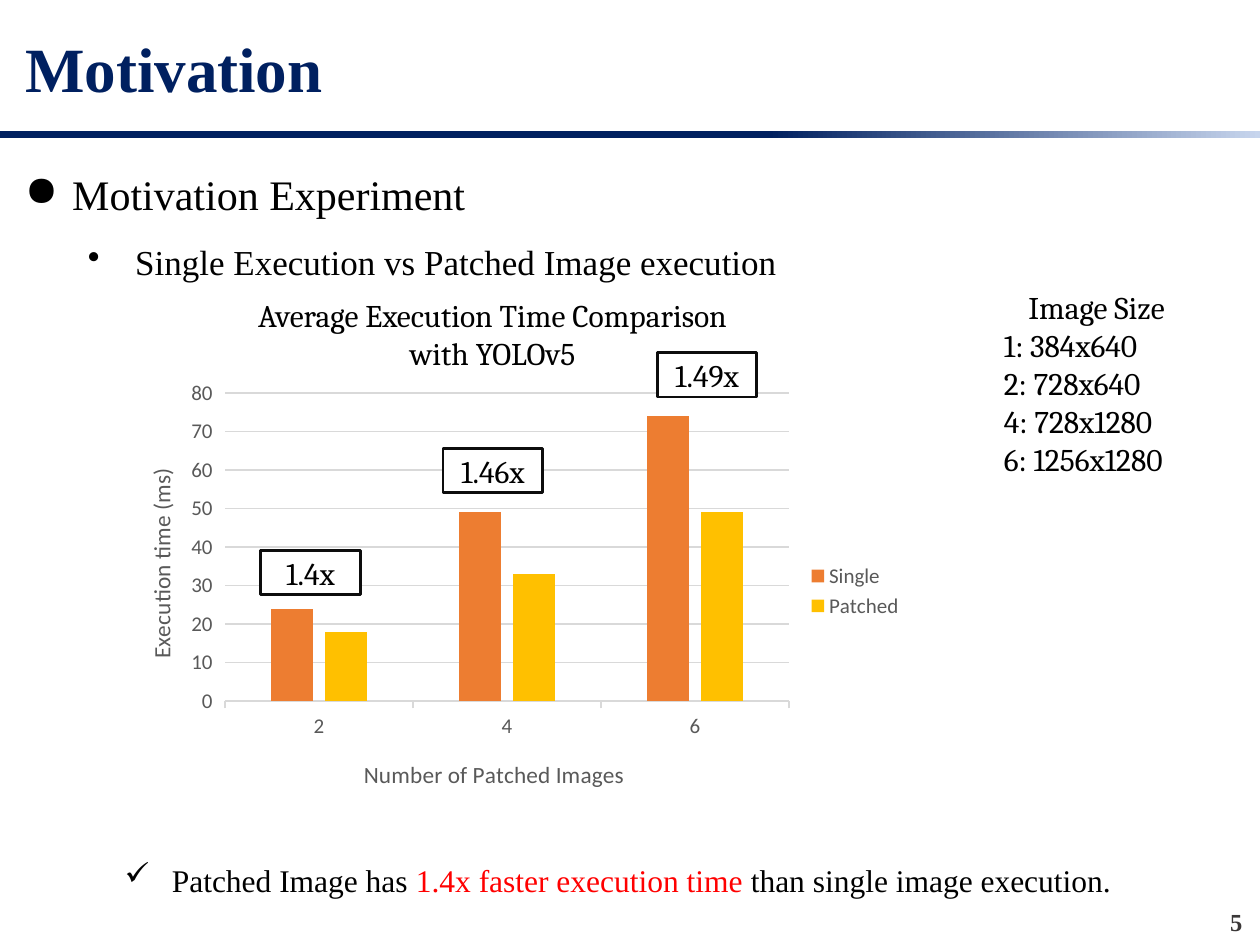
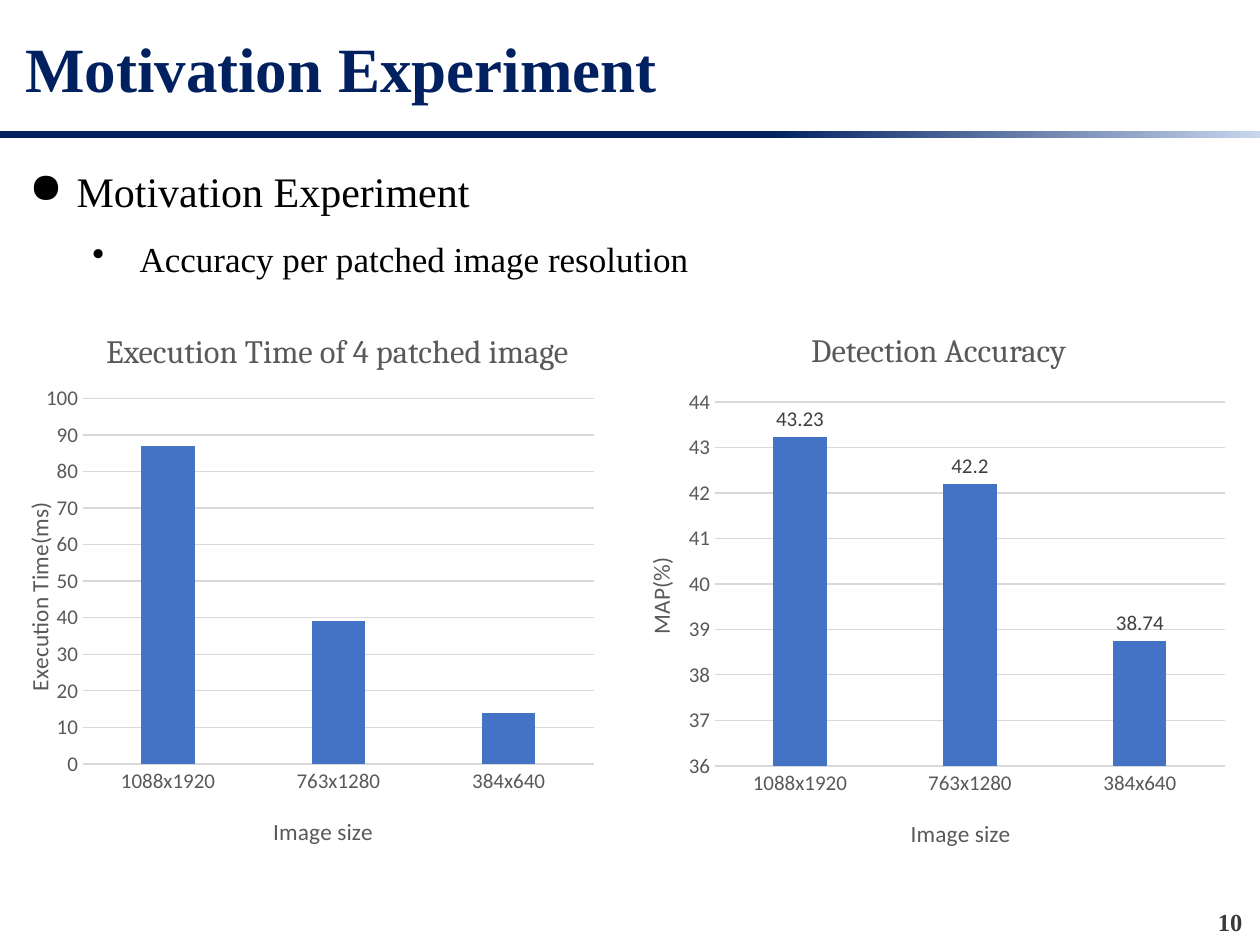
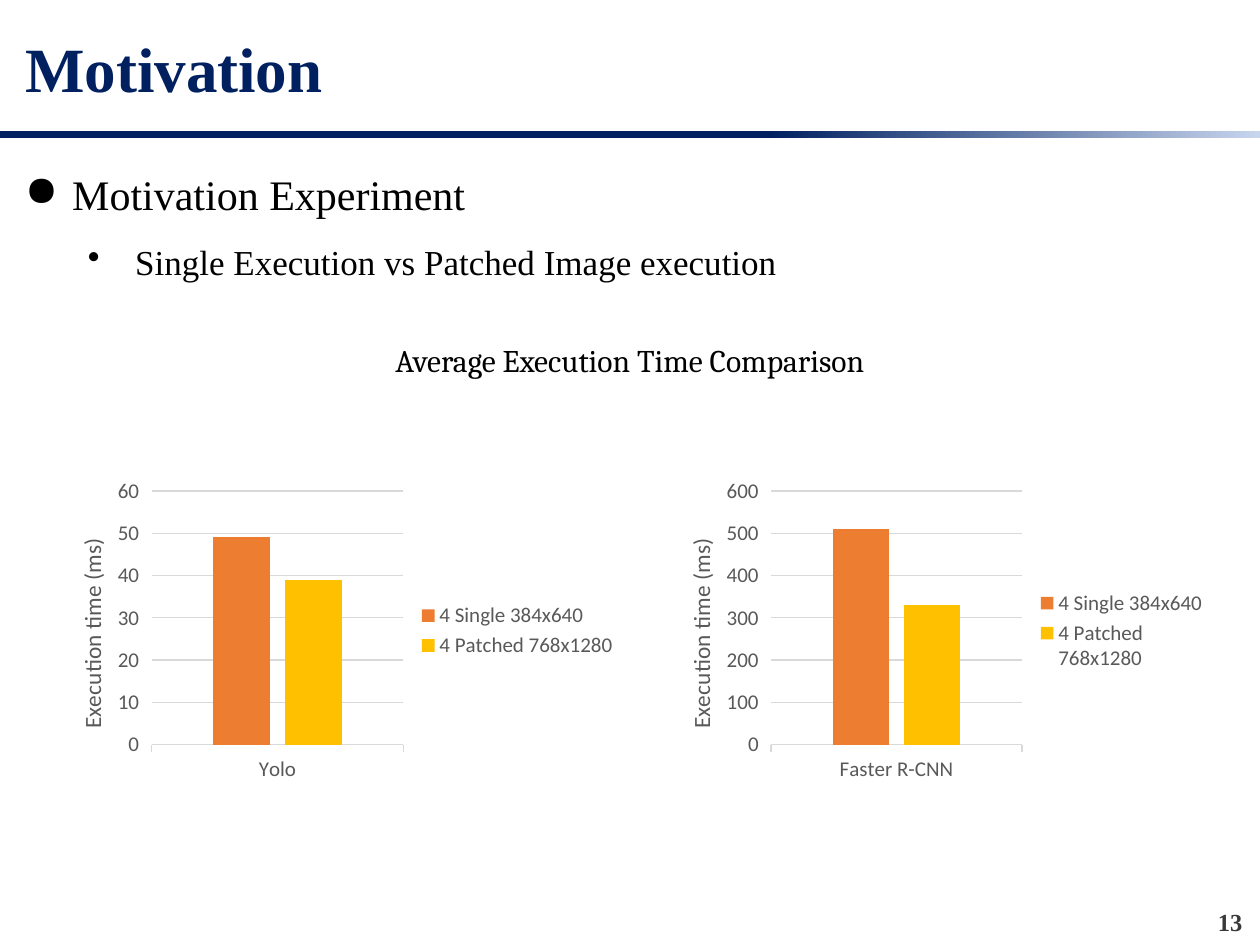
import pptx
import pptx.util
import pptx.chart.data
import pptx.dml.color
import pptx.enum.chart
import pptx.enum.shapes
import pptx.enum.text
import pptx.oxml
import pptx.oxml.ns

Pt = pptx.util.Pt
RGB = pptx.dml.color.RGBColor
ALIGN = pptx.enum.text.PP_ALIGN
MID = pptx.enum.text.MSO_ANCHOR.MIDDLE
RECT = pptx.enum.shapes.MSO_SHAPE.RECTANGLE
CHART = pptx.enum.chart

NAVY = RGB(0x00, 0x20, 0x60)
PALE = RGB(0xC7, 0xD5, 0xED)
BLACK = RGB(0x00, 0x00, 0x00)
INK = RGB(0x0D, 0x0D, 0x0D)
WHITE = RGB(0xFF, 0xFF, 0xFF)
RED = RGB(0xFF, 0x00, 0x00)
DARK = RGB(0x3B, 0x38, 0x38)
GRAY = RGB(0x59, 0x59, 0x59)
LABEL = RGB(0x40, 0x40, 0x40)
GRID = RGB(0xD9, 0xD9, 0xD9)
ORANGE = RGB(0xED, 0x7D, 0x31)
GOLD = RGB(0xFF, 0xC0, 0x00)
BLUE = RGB(0x44, 0x72, 0xC4)

TIMES, SERIF, SANS = "Times New Roman", "Cambria", "Calibri"
SIZES = ["1088x1920", "763x1280", "384x640"]
HEAD = "Motivation Experiment"
VERSUS = "Single Execution vs Patched Image execution"
TIME = "Execution time (ms)"
PAIR = ["4 Single 384x640", "4 Patched 768x1280"]
DUO = [ORANGE, GOLD]

SLIDES = [
    {
        "title": "Motivation", "page": 5, "sub": VERSUS, "spot": (7.2, 78.5),
        "check": [("Patched Image has ", BLACK), ("1.4x faster execution time ", RED),
                  ("than single image execution.", BLACK)],
        "charts": [{
            "box": (62.6, 212.4, 460.8, 250.6), "plot": (128.6, 224.6, 322.3, 176),
            "cats": ["2", "4", "6"], "scale": (0, 80, 10), "legend": True, "ticks": True,
            "series": [("Single", [24, 49, 74]), ("Patched", [18, 33, 49])], "fills": DUO,
            "up": (TIME, 80.6, 265), "across": ("Number of Patched Images", 205.5, 431),
        }],
        "notes": [
            ((130.3, 165.6, 302.4, 51), ["Average Execution Time Comparison with YOLOv5"], 18, BLACK),
            ((566.6, 161.3, 120.2, 116.6), ["Image Size", "1: 384x640", "2: 728x640",
                                          "4: 728x1280", "6: 1256x1280"], 18, BLACK),
        ],
        "gains": [("1.4x", 149, 314.6), ("1.46x", 253.2, 256.3), ("1.49x", 375.6, 201.6)],
    },
    {
        "title": HEAD, "page": 10, "sub": "Accuracy per patched image resolution",
        "spot": (9.7, 76.7),
        "charts": [{
            "box": (7.2, 213.8, 342, 275.8), "plot": (47.4, 227.7, 292, 208.9),
            "cats": SIZES, "scale": (0, 100, 10),
            "series": [("Series 1", [87, 39, 14])], "fills": [BLUE],
            "up": ("Execution Time(ms)", 10.9, 284.6), "across": ("Image size", 153.7, 463.4),
        }, {
            "box": (349.2, 216.7, 358.6, 279.4), "plot": (408.6, 229.7, 291.4, 208),
            "cats": SIZES, "scale": (36, 44, 1), "labels": True,
            "series": [("Series 1", [43.23, 42.2, 38.74])], "fills": [BLUE],
            "up": ("MAP(%)", 366, 316), "across": ("Image size", 518, 464.6),
        }],
        "notes": [
            ((13, 185.8, 363.6, 29.5), ["Execution Time of 4 patched image "], 18.6, GRAY),
            ((424.1, 185, 224.6, 29.5), ["Detection Accuracy"], 18.6, GRAY),
        ],
    },
    {
        "title": "Motivation", "page": 13, "sub": VERSUS, "spot": (7.2, 78.5),
        "charts": [{
            "box": (23.8, 270, 336.2, 180.7), "plot": (86.6, 280.6, 144, 145),
            "cats": ["Yolo"], "scale": (0, 60, 10), "legend": True, "ticks": True,
            "series": list(zip(PAIR, [[49], [39]])), "fills": DUO, "up": (TIME, 41, 305),
        }, {
            "box": (371.5, 270, 325.4, 180.7), "plot": (440.6, 280.6, 143.4, 145),
            "cats": ["Faster R-CNN"], "scale": (0, 600, 100), "legend": True, "ticks": True,
            "series": list(zip(PAIR, [[510], [330]])), "fills": DUO, "up": (TIME, 389, 305),
        }],
        "notes": [((208.8, 191.5, 302.4, 28.8), ["Average Execution Time Comparison"], 18, BLACK)],
    },
]


def pts(box):
    return [Pt(n) for n in box]


def style(font, size, color, name, bold=False):
    font.size, font.name, font.bold = Pt(size), name, bold
    font.color.rgb = color


def write(shape, lines, size, color, name, align=ALIGN.LEFT, bold=False):
    frame = shape.text_frame
    frame.word_wrap = True
    frame.text = "\n".join(lines)
    for para in frame.paragraphs:
        para.alignment = align
        for run in para.runs:
            style(run.font, size, color, name, bold)
    return frame


def bullet(para, mark, left):
    para.line_spacing = 1.5
    props = para._p.get_or_add_pPr()
    props.set("marL", str(Pt(left)))
    props.set("indent", str(-Pt(27)))
    ns = pptx.oxml.ns.nsdecls("a")
    props.append(pptx.oxml.parse_xml(f'<a:buChar {ns} char="{mark}"/>'))


def frame_up(slide, item):
    band = slide.shapes.add_shape(RECT, *pts((0, 74.9, 720, 3.8)))
    band.shadow.inherit = False
    band.line.fill.background()
    band.fill.gradient()
    band.fill.gradient_angle = 0
    for stop, (spot, color) in zip(band.fill.gradient_stops, [(0.61, NAVY), (1, PALE)]):
        stop.position, stop.color.rgb = spot, color
    title = slide.shapes.title
    title.left, title.top, title.width, title.height = pts((7.2, 9.4, 684, 57.6))
    frame = write(title, [item["title"]], 36, NAVY, TIMES, bold=True)
    frame.vertical_anchor = MID
    frame.auto_size = pptx.enum.text.MSO_AUTO_SIZE.NONE
    page = slide.shapes.add_textbox(*pts((686.9, 514.8, 30.2, 21.6)))
    write(page, [str(item["page"])], 14, DARK, TIMES, ALIGN.RIGHT, True)


def add_heads(slide, item):
    box = slide.shapes.add_textbox(*pts((*item["spot"], 700.6, 82.8)))
    head, sub = write(box, [HEAD, item["sub"]], 24, BLACK, TIMES).paragraphs
    sub.level = 1
    sub.runs[0].font.size = Pt(20)
    bullet(head, "●", 27)
    bullet(sub, "•", 63)


def add_check(slide, parts):
    box = slide.shapes.add_textbox(*pts((64.1, 477.4, 591.1, 36)))
    box.text_frame.word_wrap = True
    para = box.text_frame.paragraphs[0]
    for text, color in parts:
        run = para.add_run()
        run.text = text
        style(run.font, 18, color, TIMES)
    bullet(para, "✓", 27)


def layout(box, spot, inner=False):
    left, top, wide, high = box
    vals = [("x", (spot[0] - left) / wide), ("y", (spot[1] - top) / high)]
    if inner:
        vals += [("w", spot[2] / wide), ("h", spot[3] / high)]
    target = '<c:layoutTarget val="inner"/>' if inner else ""
    modes = '<c:xMode val="edge"/><c:yMode val="edge"/>'
    nums = "".join(f'<c:{key} val="{val:.4f}"/>' for key, val in vals)
    ns = pptx.oxml.ns.nsdecls("c")
    return pptx.oxml.parse_xml(
        f"<c:layout {ns}><c:manualLayout>{target}{modes}{nums}</c:manualLayout></c:layout>")


def name_axis(axis, box, text, left, top):
    title = axis.axis_title
    title.text_frame.text = text
    style(title.text_frame.paragraphs[0].runs[0].font, 13.3, GRAY, SANS)
    node = title._element
    for old in node.findall(pptx.oxml.ns.qn("c:layout")):
        node.remove(old)
    node.find(pptx.oxml.ns.qn("c:tx")).addnext(layout(box, (left, top)))


def draw_chart(slide, item):
    data = pptx.chart.data.CategoryChartData()
    data.categories = item["cats"]
    for name, vals in item["series"]:
        data.add_series(name, vals)
    box = item["box"]
    kind = CHART.XL_CHART_TYPE.COLUMN_CLUSTERED
    chart = slide.shapes.add_chart(kind, *pts(box), data).chart
    style(chart.font, 10, BLACK, SANS)
    chart.has_title = False
    chart.has_legend = item.get("legend", False)
    if chart.has_legend:
        chart.legend.position = CHART.XL_LEGEND_POSITION.RIGHT
        chart.legend.include_in_layout = False
        style(chart.legend.font, 12, GRAY, SANS)

    plot = chart.plots[0]
    plot.vary_by_categories = False
    plot.gap_width, plot.overlap = 219, -27
    for series, color in zip(plot.series, item["fills"]):
        series.format.fill.solid()
        series.format.fill.fore_color.rgb = color
        series.invert_if_negative = False
    if item.get("labels"):
        plot.has_data_labels = True
        labels = plot.data_labels
        labels.show_value = True
        labels.position = CHART.XL_LABEL_POSITION.OUTSIDE_END
        style(labels.font, 12, LABEL, SANS)

    cat, val = chart.category_axis, chart.value_axis
    mark = CHART.XL_TICK_MARK.OUTSIDE if item.get("ticks") else CHART.XL_TICK_MARK.NONE
    for axis in (cat, val):
        axis.major_tick_mark = mark
        axis.minor_tick_mark = CHART.XL_TICK_MARK.NONE
        style(axis.tick_labels.font, 12, GRAY, SANS)
    val.minimum_scale, val.maximum_scale, val.major_unit = item["scale"]
    val.format.line.fill.background()
    val.has_major_gridlines = True
    for line in (cat.format.line, val.major_gridlines.format.line):
        line.color.rgb = GRID
        line.width = Pt(0.75)
    name_axis(val, box, *item["up"])
    if "across" in item:
        name_axis(cat, box, *item["across"])

    area = chart._chartSpace.chart.plotArea
    for old in area.findall(pptx.oxml.ns.qn("c:layout")):
        area.remove(old)
    area.insert(0, layout(box, item["plot"], True))


def add_note(slide, box, lines, size, color):
    note = slide.shapes.add_textbox(*pts(box))
    frame = write(note, lines, size, color, SERIF)
    frame.paragraphs[0].alignment = ALIGN.CENTER


def add_gain(slide, text, left, top):
    tag = slide.shapes.add_shape(RECT, *pts((left, top, 56.9, 25.2)))
    tag.shadow.inherit = False
    tag.fill.solid()
    tag.fill.fore_color.rgb = WHITE
    tag.line.color.rgb = INK
    tag.line.width = Pt(1.5)
    write(tag, [text], 18, BLACK, SERIF, ALIGN.CENTER).vertical_anchor = MID


def main():
    deck = pptx.Presentation()
    deck.slide_width, deck.slide_height = Pt(720), Pt(540)
    for item in SLIDES:
        slide = deck.slides.add_slide(deck.slide_layouts[5])
        frame_up(slide, item)
        add_heads(slide, item)
        if "check" in item:
            add_check(slide, item["check"])
        for chart in item["charts"]:
            draw_chart(slide, chart)
        for note in item["notes"]:
            add_note(slide, *note)
        for gain in item.get("gains", []):
            add_gain(slide, *gain)
    deck.save("out.pptx")


if __name__ == "__main__":
    main()
